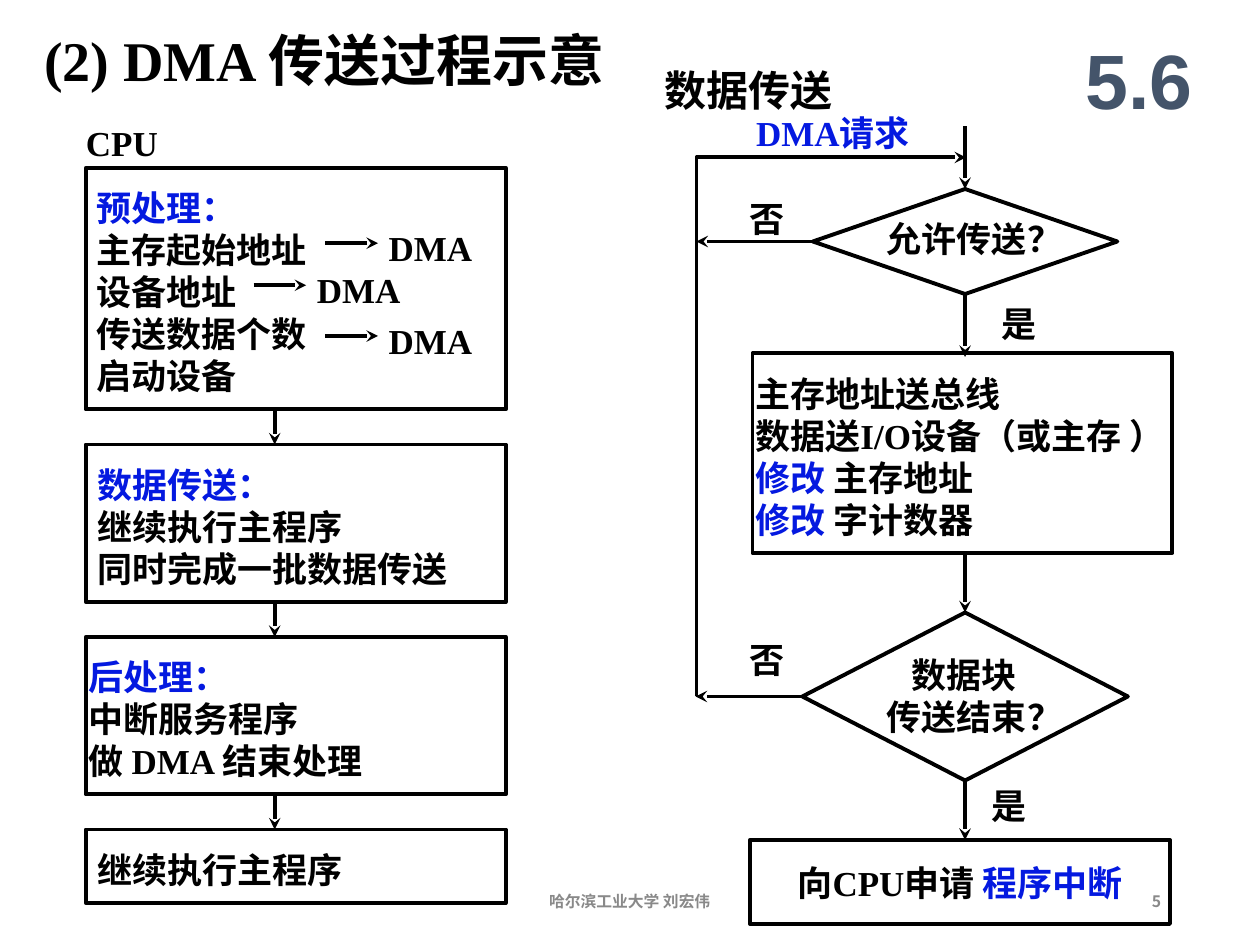
"""Builds the slide on the DMA transfer process with its two flowcharts."""
from dataclasses import dataclass

from lxml import etree
from pptx import Presentation
from pptx import util as u
from pptx.dml.color import RGBColor
from pptx.enum import shapes, text
from pptx.oxml import ns


@dataclass(frozen=True)
class Theme:
    ink: str = "000000"
    accent: str = "0419E0"
    slate: str = "44546A"
    grey: str = "898989"
    serif: str = "Times New Roman"
    sans: str = "Arial"
    cjk: str = "Noto Sans CJK SC"
    title: int = 32
    heading: int = 24
    body: int = 20
    number: int = 44
    small: int = 9
    line: float = 2.25
    leading: float = 1.2
    cjk_drop: float = 0.07
    slack: int = 14


THEME = Theme()


def apply(target, values):
    for name, value in values.items():
        setattr(target, name, value)


def fill_frame(frame, lines, size, font=THEME.serif, leading=None, align=text.PP_ALIGN.LEFT):
    for index, line in enumerate(lines):
        para = frame.paragraphs[0] if index == 0 else frame.add_paragraph()
        apply(para, {"alignment": align, "space_before": u.Pt(0)})
        if leading:
            para.line_spacing = u.Pt(size * leading)
        for words, colour in line:
            span = para.add_run()
            span.text = words
            apply(span.font, {"name": font, "size": u.Pt(size), "bold": True})
            span.font.color.rgb = RGBColor.from_string(colour)
            properties = span._r.get_or_add_rPr()
            etree.SubElement(properties, ns.qn("a:ea"), typeface=THEME.cjk)


def plain(*lines):
    return [[(line, THEME.ink)] for line in lines]


def headed(heading, *lines):
    return [[(heading, THEME.accent)]] + plain(*lines)


def fill_label(frame, lines, size):
    """Fill a top-anchored frame, lowering Chinese text to the Latin baseline."""
    is_latin = all(words.isascii() for line in lines for words, _ in line)
    drop = 0 if is_latin else size * THEME.cjk_drop
    apply(frame, {"word_wrap": True, "auto_size": text.MSO_AUTO_SIZE.NONE,
                  "vertical_anchor": text.MSO_ANCHOR.TOP, "margin_top": u.Pt(3.6 + drop)})
    fill_frame(frame, lines, size, leading=THEME.leading)


def add_label(page, left, top, width, lines, size=THEME.body):
    height = len(lines) * size * THEME.leading + 7.2
    box = page.shapes.add_textbox(
        u.Pt(left), u.Pt(top), u.Pt(width + THEME.slack), u.Pt(height))
    fill_label(box.text_frame, lines, size)
    return box


def add_caption(page, left, top, width, height, words, size, font, colour, align):
    box = page.shapes.add_textbox(u.Pt(left), u.Pt(top), u.Pt(width), u.Pt(height))
    apply(box.text_frame, {"word_wrap": True, "vertical_anchor": text.MSO_ANCHOR.MIDDLE})
    fill_frame(box.text_frame, [[(words, colour)]], size, font, align=align)


def style_line(item):
    item.line.width = u.Pt(THEME.line)
    item.line.color.rgb = RGBColor.from_string(THEME.ink)


def add_arrowhead(item):
    line = item.line._get_or_add_ln()
    etree.SubElement(line, ns.qn("a:tailEnd"), type="stealth")


def add_outline(page, kind, left, top, width, height):
    box = page.shapes.add_shape(kind, u.Pt(left), u.Pt(top), u.Pt(width), u.Pt(height))
    box.shadow.inherit = False
    box.fill.background()
    style_line(box)
    return box


def add_arrow(page, start, end, begin=None, finish=None):
    arrow = page.shapes.add_connector(
        shapes.MSO_CONNECTOR.STRAIGHT, *(u.Pt(value) for value in start + end))
    if begin:
        arrow.begin_connect(*begin)
    if finish:
        arrow.end_connect(*finish)
    style_line(arrow)
    add_arrowhead(arrow)
    etree.SubElement(arrow._element.spPr, ns.qn("a:effectLst"))


def add_loop(page, points):
    builder = page.shapes.build_freeform(*points[0], scale=u.Pt(1))
    builder.add_line_segments(points[1:], close=False)
    loop = builder.convert_to_shape()
    loop.shadow.inherit = False
    loop.fill.background()
    style_line(loop)
    add_arrowhead(loop)


def add_title(page):
    title = page.shapes.title
    apply(title, {"left": u.Pt(18), "top": u.Pt(8.5), "width": u.Pt(366), "height": u.Pt(46)})
    fill_label(title.text_frame, plain("(2) DMA 传送过程示意"), THEME.title)


def add_cpu_flow(page):
    left, width, gap, spine = 49, 240, 20, 157
    stages = [
        (138, 48, 134.4, headed("预处理：", "主存起始地址", "设备地址", "传送数据个数", "启动设备")),
        (90, 48.4, 214.4, headed("数据传送：", "继续执行主程序", "同时完成一批数据传送")),
        (90, 43.5, 181.4, headed("后处理：", "中断服务程序", "做 DMA 结束处理")),
        (42, 48.4, 154.4, plain("继续执行主程序")),
    ]
    add_label(page, 42, 66, 55.4, plain("CPU"))
    top = 96
    for index, (height, text_left, text_width, lines) in enumerate(stages):
        if index:
            add_arrow(page, (spine, top - gap), (spine, top))
        add_outline(page, shapes.MSO_SHAPE.RECTANGLE, left, top, width, height)
        add_label(page, text_left, top + 5.8, text_width, lines)
        top += height + gap
    for label_left, label_top, arrow_y in ((215, 126, 139), (174, 150, 163), (215, 178.8, 192)):
        add_label(page, label_left, label_top, 61.8, plain("DMA"))
        add_arrow(page, (label_left - 29, arrow_y), (label_left + 1, arrow_y))


def add_transfer_flow(page):
    axis, loop_x = 551.5, 397.5
    rectangle, diamond = shapes.MSO_SHAPE.RECTANGLE, shapes.MSO_SHAPE.DIAMOND
    allowed = add_outline(page, diamond, axis - 87, 108, 174, 60)
    finished = add_outline(page, diamond, axis - 93, 350, 186, 96)
    add_outline(page, rectangle, 430, 202, 240, 114)
    add_outline(page, rectangle, 428.5, 480, 240, 48)

    add_arrow(page, (axis, 72), (axis, 108), finish=(allowed, 0))
    add_arrow(page, (axis, 168), (axis, 204), begin=(allowed, 2))
    add_arrow(page, (axis, 316), (axis, 350), finish=(finished, 0))
    add_arrow(page, (axis, 446), (axis, 480), begin=(finished, 2))
    add_arrow(page, (axis - 87, 138), (loop_x + 0.5, 138), begin=(allowed, 1))
    add_arrow(page, (axis - 93, 398), (loop_x, 398), begin=(finished, 1))
    add_loop(page, [(loop_x, 398), (loop_x + 0.5, 90), (axis, 90)])

    accent, ink = THEME.accent, THEME.ink
    add_label(page, 372.6, 31.7, 110.4, plain("数据传送"), THEME.heading)
    add_label(page, 425, 59, 107.3, headed("DMA请求"))
    add_label(page, 499.7, 119.5, 114.4, plain("允许传送？"))
    add_label(page, 424.5, 208, 257.8, plain("主存地址送总线", "数据送I/O设备（或主存 ）") + [
        [("修改 ", accent), ("主存地址", ink)],
        [("修改", accent), (" 字计数器", ink)],
    ])
    ending = add_label(page, 499.7, 368.6, 114.4, plain("数据块", "传送结束？"))
    ending.text_frame.paragraphs[0]._p.get_or_add_pPr().set("marL", str(u.Pt(14)))
    add_label(page, 448.6, 487.4, 209.5, [[("向CPU申请 ", ink), ("程序中断", accent)]])
    for word, left, top in (("否", 421.3, 108), ("否", 421.3, 360),
                            ("是", 565.3, 168), ("是", 559.5, 443.5)):
        add_label(page, left, top, 34.4, plain(word))


def main():
    deck = Presentation()
    apply(deck, {"slide_width": u.Pt(720), "slide_height": u.Pt(540)})
    page = deck.slides.add_slide(deck.slide_layouts[5])
    add_title(page)
    add_cpu_flow(page)
    add_transfer_flow(page)
    centre, right = text.PP_ALIGN.CENTER, text.PP_ALIGN.RIGHT
    add_caption(page, 606, 12, 90, 66, "5.6", THEME.number, THEME.sans, THEME.slate, centre)
    add_caption(page, 508.5, 500.5, 162, 28.8, "5", THEME.small, THEME.cjk, THEME.grey, right)
    add_caption(page, 238.5, 500.5, 242.5, 28.8, "哈尔滨工业大学 刘宏伟",
                THEME.small, THEME.cjk, THEME.grey, centre)
    deck.save("out.pptx")


if __name__ == "__main__":
    main()
